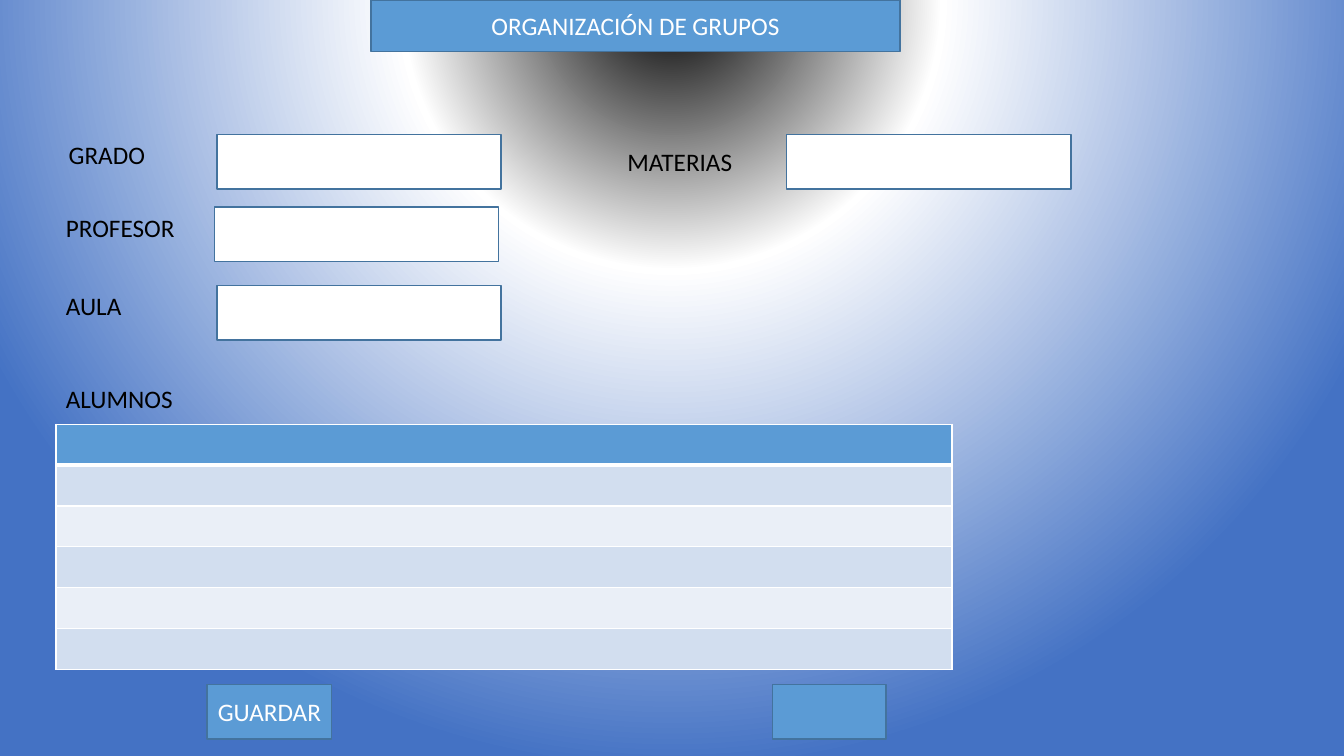
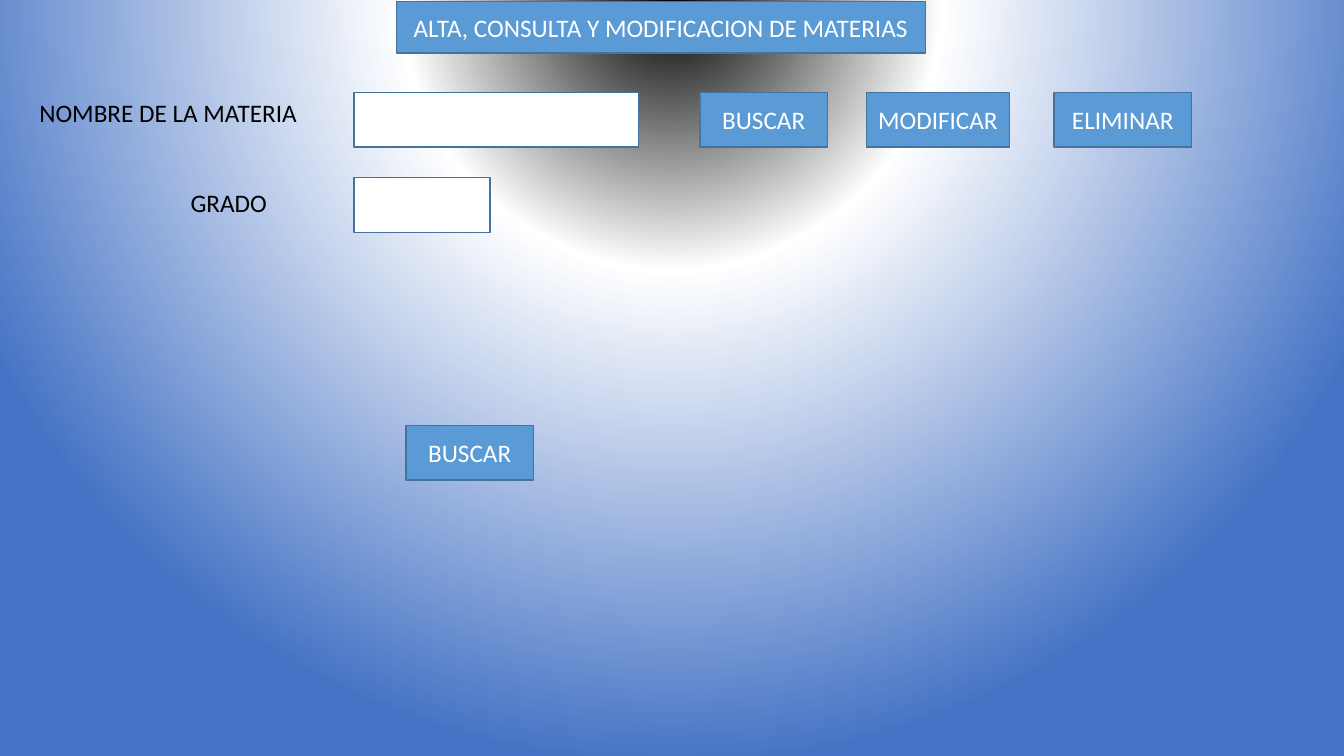
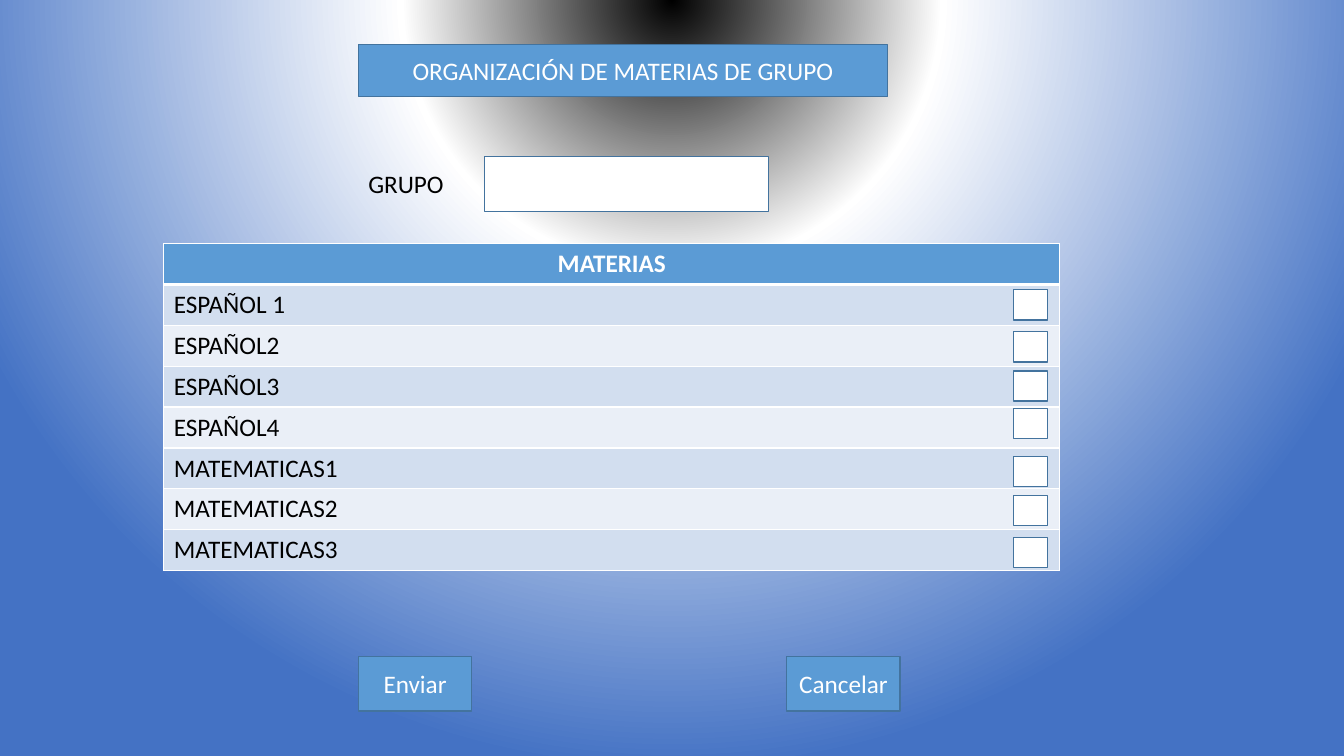
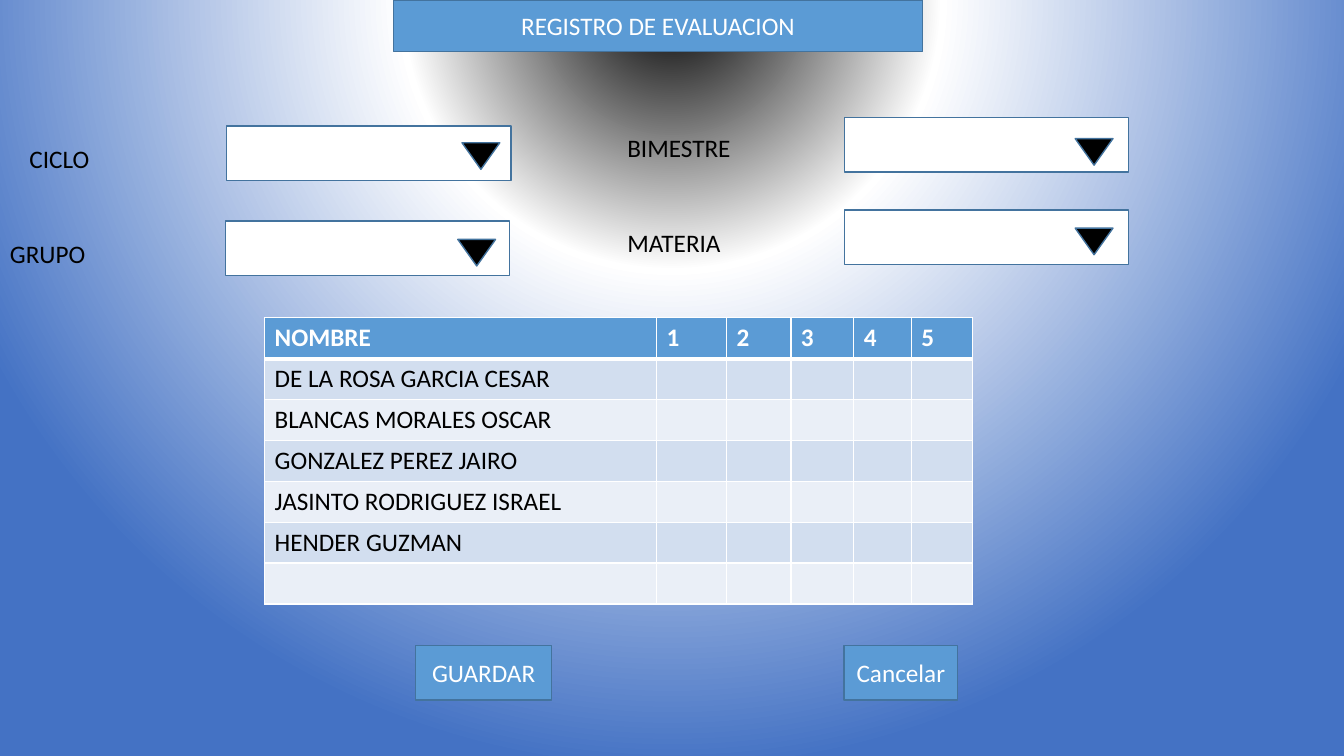
import pptx
import pptx.dml.color
import pptx.enum.shapes
import pptx.enum.text
import pptx.oxml
import pptx.oxml.ns
import pptx.util

Pt = pptx.util.Pt
RGB = pptx.dml.color.RGBColor
KIND = pptx.enum.shapes.MSO_SHAPE
ALIGN = pptx.enum.text.PP_ALIGN
NS = pptx.oxml.ns.nsdecls("a")

BLACK = RGB(0x00, 0x00, 0x00)
WHITE = RGB(0xFF, 0xFF, 0xFF)
BLUE = RGB(0x5B, 0x9B, 0xD5)
EDGE = RGB(0x43, 0x73, 0x9E)
DEEP = RGB(0x44, 0x72, 0xC4)
BANDS = [RGB(0xEA, 0xEF, 0xF7), RGB(0xD2, 0xDE, 0xEF)]
FONT, SIZE = "Calibri", Pt(18)
TALL, ROW = 39, 29.2  # height of fields and buttons, height of table rows

# Screens: places are left, top and, where it varies, width
SCREENS = [
    dict(
        title=("ORGANIZACIÓN DE GRUPOS", 265, 0),
        labels=[("GRADO", 42, 96, 183), ("PROFESOR", 40, 148, 183),
                ("AULA", 40, 204, 183), ("ALUMNOS", 40, 270, 183),
                ("MATERIAS", 441, 101, 183)],
        fields=[(155, 96, 203), (153, 148, 203), (155, 204, 203), (562, 96, 203)],
        buttons=[("GUARDAR", 148, 489, 89), ("", 552, 489, 81)],
        table=(40, 303, [640], [[""]] * 6),
    ),
    dict(
        title=("ALTA, CONSULTA Y MODIFICACION DE MATERIAS", 283, 1),
        labels=[("NOMBRE DE LA MATERIA", 21, 66, 204), ("GRADO", 129, 130, 96)],
        fields=[(253, 66, 203), (253, 127, 97)],
        buttons=[("BUSCAR", 500, 66, 91), ("MODIFICAR", 619, 66, 102),
                 ("ELIMINAR", 753, 66, 98), ("BUSCAR", 290, 304, 91)],
    ),
    dict(
        title=("ORGANIZACIÓN DE MATERIAS DE GRUPO", 256, 32),
        labels=[("GRUPO", 256, 117, 86)],
        fields=[(346, 112, 203)],
        buttons=[("Enviar", 256, 469, 81), ("Cancelar", 562, 469, 81)],
        table=(117, 174, [640], [
            ["MATERIAS"], ["ESPAÑOL 1"], ["ESPAÑOL2"], ["ESPAÑOL3"], ["ESPAÑOL4"],
            ["MATEMATICAS1"], ["MATEMATICAS2"], ["MATEMATICAS3"]]),
        checks=[207, 237, 265, 292, 326, 354, 384],
    ),
    dict(
        title=("REGISTRO DE EVALUACION", 281, 0),
        labels=[("CICLO", 14, 99, 191), ("GRUPO", 0, 167, 191),
                ("BIMESTRE", 441, 91, 191), ("MATERIA", 441, 159, 191)],
        fields=[(162, 90, 203), (161, 158, 203), (603, 84, 203), (603, 150, 203)],
        arrows=[(330, 102), (327, 171), (768, 99), (768, 163)],
        buttons=[("GUARDAR", 297, 461, 97), ("Cancelar", 603, 461, 81)],
        table=(189, 227, [280, 50, 46, 45, 41, 44], [
            ["NOMBRE", "1", "2", "3", "4", "5"],
            *([name] + [""] * 5 for name in (
                "DE LA ROSA GARCIA CESAR", "BLANCAS MORALES OSCAR",
                "GONZALEZ PEREZ JAIRO", "JASINTO RODRIGUEZ ISRAEL",
                "HENDER GUZMAN", ""))]),
    ),
]


def write(frame, text, color, align=ALIGN.LEFT, bold=False):
    """Fill a text frame with one line in the shared font."""
    frame.text = text
    line = frame.paragraphs[0]
    line.alignment = align
    line.font.name, line.font.size = FONT, SIZE
    line.font.bold = bold
    line.font.color.rgb = color


def box(slide, kind, place, fill):
    """Add an outlined shape without shadow."""
    shape = slide.shapes.add_shape(kind, *map(Pt, place))
    shape.shadow.inherit = False
    shape.fill.solid()
    shape.fill.fore_color.rgb = fill
    shape.line.color.rgb = EDGE
    shape.line.width = Pt(1)
    return shape


deck = pptx.Presentation()
deck.slide_width, deck.slide_height = Pt(960), Pt(540)

# Shared background on the master
master = deck.slide_master
master.background.fill.solid()
back = master.element.xpath("p:cSld/p:bg/p:bgPr")[0]
stops = "".join(
    f'<a:gs pos="{pos}"><a:srgbClr val="{color}"/></a:gs>'
    for pos, color in ((0, BLACK), (35000, WHITE), (100000, DEEP)))
back.replace(back[0], pptx.oxml.parse_xml(
    f'<a:gradFill {NS} rotWithShape="1"><a:gsLst>{stops}</a:gsLst>'
    '<a:path path="circle"><a:fillToRect l="50000" t="-80000" r="50000" b="180000"/>'
    '</a:path></a:gradFill>'))

for screen in SCREENS:
    slide = deck.slides.add_slide(deck.slide_layouts[5])

    # Title in a rounded band
    text, left, top = screen["title"]
    title = slide.shapes.title
    title.left, title.top, title.width, title.height = map(Pt, (left, top, 378, 37))
    title.element.spPr.append(pptx.oxml.parse_xml(
        f'<a:prstGeom {NS} prst="roundRect"><a:avLst/></a:prstGeom>'))
    title.fill.solid()
    title.fill.fore_color.rgb = BLUE
    title.line.color.rgb = EDGE
    title.line.width = Pt(1)
    title.text_frame.auto_size = pptx.enum.text.MSO_AUTO_SIZE.NONE
    title.text_frame.vertical_anchor = pptx.enum.text.MSO_ANCHOR.MIDDLE
    write(title.text_frame, text, WHITE, ALIGN.CENTER)

    # Fields, drop-down arrows, labels and buttons
    for left, top, width in screen["fields"]:
        box(slide, KIND.RECTANGLE, (left, top, width, TALL), WHITE)
    for left, top in screen.get("arrows", []):
        box(slide, KIND.FLOWCHART_MERGE, (left, top, 27, 19), BLACK)
    for text, left, top, width in screen["labels"]:
        label = slide.shapes.add_textbox(*map(Pt, (left, top, width, 29)))
        label.text_frame.word_wrap = True
        write(label.text_frame, text, BLACK)
    for text, left, top, width in screen["buttons"]:
        button = box(slide, KIND.RECTANGLE, (left, top, width, TALL), BLUE)
        if text:
            write(button.text_frame, text, WHITE, ALIGN.CENTER)

    # Table with a header and banded rows
    if "table" in screen:
        left, top, widths, rows = screen["table"]
        table = slide.shapes.add_table(
            len(rows), len(widths),
            *map(Pt, (left, top, sum(widths), ROW * len(rows)))).table
        for column, width in zip(table.columns, widths):
            column.width = Pt(width)
        for r, row in enumerate(rows):
            table.rows[r].height = Pt(ROW)
            head = r == 0
            align = ALIGN.CENTER if head and len(widths) == 1 else ALIGN.LEFT
            for c, text in enumerate(row):
                cell = table.cell(r, c)
                write(cell.text_frame, text, WHITE if head else BLACK, align, head)
                for side in "LRTB":
                    thick = (r, side) in ((0, "B"), (1, "T"))
                    cell._tc.get_or_add_tcPr().append(pptx.oxml.parse_xml(
                        f'<a:ln{side} {NS} w="{Pt(3 if thick else 1)}"><a:solidFill>'
                        f'<a:srgbClr val="{WHITE}"/></a:solidFill></a:ln{side}>'))
                cell.fill.solid()
                cell.fill.fore_color.rgb = BLUE if head else BANDS[r % 2]

    # Check boxes over the table
    for top in screen.get("checks", []):
        box(slide, KIND.RECTANGLE, (724, top, 24.5, 21.5), WHITE)

deck.save("out.pptx")
